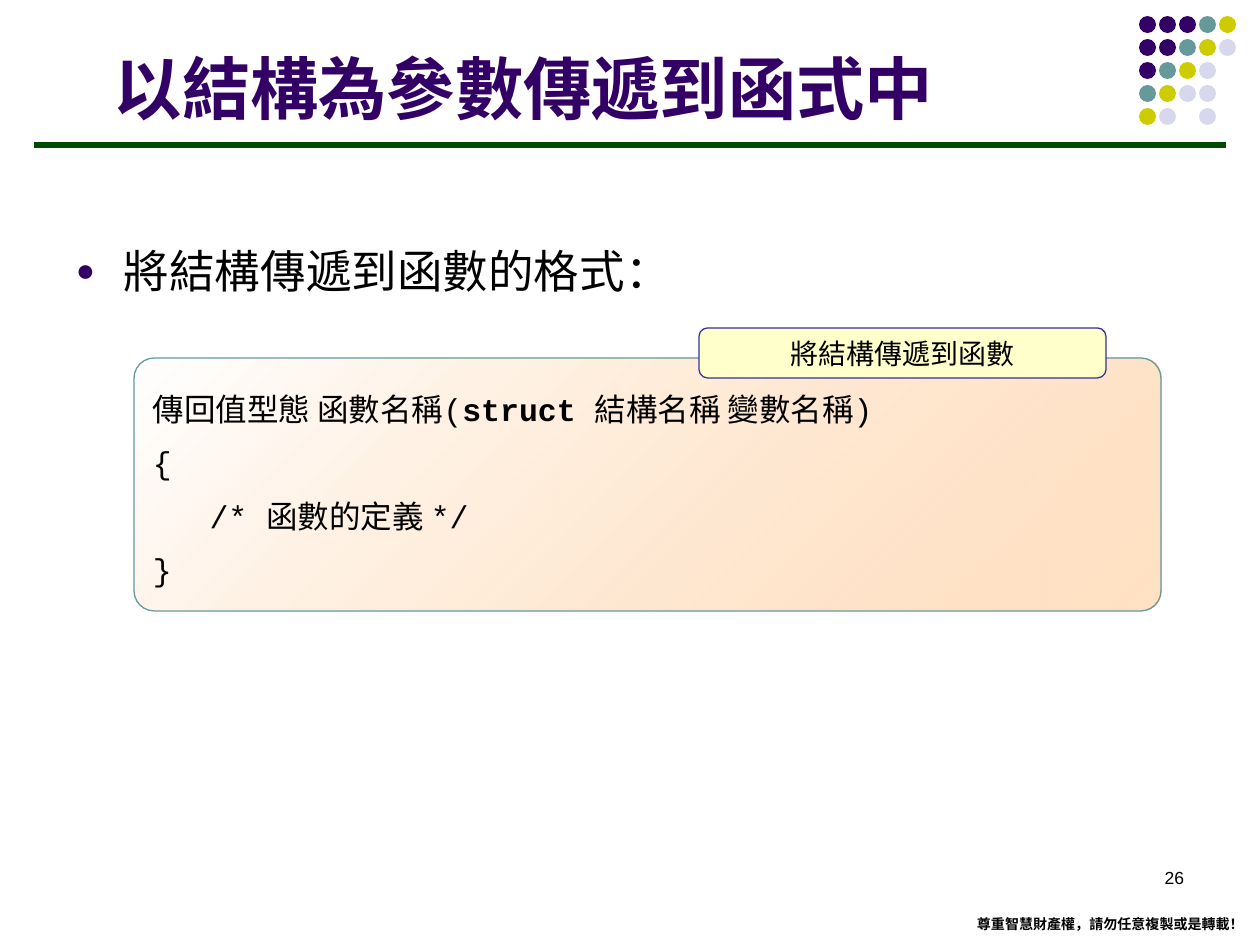
from dataclasses import dataclass

from lxml.etree import SubElement
from pptx import Presentation
from pptx.dml.color import RGBColor
from pptx.enum.shapes import MSO_CONNECTOR, MSO_SHAPE
from pptx.enum.text import MSO_ANCHOR, PP_ALIGN
from pptx.oxml.ns import qn
from pptx.util import Emu, Pt

PX_PER_INCH = 126


@dataclass(frozen=True)
class Theme:
    purple: str = "330066"
    teal: str = "669999"
    olive: str = "CCCC00"
    lavender: str = "D8D8EC"
    green: str = "004C00"
    black: str = "000000"
    white: str = "FFFFFF"
    peach: str = "FFCC99"
    cream: str = "FFFFCC"
    navy: str = "333399"
    sans: str = "Arial"
    mono: str = "Courier New"
    cjk: str = "Noto Sans CJK SC"
    label_cjk: str = "Noto Sans CJK JP"
    title_size: float = 39
    body_size: float = 26
    code_size: float = 18
    label_size: float = 16
    number_size: float = 10
    notice_size: float = 8


THEME = Theme()
DOT_ROWS = ("PPPTO", "PPTOL", "PTOL", "TOLL", "OL L")
DOT_COLORS = {"P": THEME.purple, "T": THEME.teal, "O": THEME.olive, "L": THEME.lavender}
CODE_LINES = (
    (("傳回值型態 函數名稱(", False), ("struct ", True), ("結構名稱 變數名稱)", False)),
    (("{", False),),
    (("   /* 函數的定義 */", False),),
    (("}", False),),
)


def px(length):
    return Emu(round(length * 914400 / PX_PER_INCH))


def color(value):
    return RGBColor.from_string(value)


def set_all(target, **values):
    for name, value in values.items():
        setattr(target, name, value)


def add_span(para, text, size, latin=THEME.cjk, east_asian=THEME.cjk,
             ink=THEME.black, bold=False):
    span = para.add_run()
    span.text = text
    set_all(span.font, name=latin, size=Pt(size), bold=bold)
    span.font.color.rgb = color(ink)
    SubElement(span.font._element, qn("a:ea"), typeface=east_asian)


def set_frame(shape, inset_top=6, **values):
    frame = shape.text_frame
    set_all(frame, margin_left=px(13), margin_right=px(13),
            margin_top=px(inset_top), margin_bottom=px(6), **values)
    return frame


def add_text(page, bounds, align=PP_ALIGN.LEFT, wrap=True, anchor=MSO_ANCHOR.TOP):
    """Add an empty text box and return its first paragraph."""
    box = page.shapes.add_textbox(*map(px, bounds))
    frame = set_frame(box, word_wrap=wrap, vertical_anchor=anchor)
    frame.paragraphs[0].alignment = align
    return frame.paragraphs[0]


def add_shape(page, kind, bounds, fill=None, line=None, corner=None):
    shape = page.shapes.add_shape(kind, *map(px, bounds))
    shape.shadow.inherit = False
    if fill:
        shape.fill.solid()
        shape.fill.fore_color.rgb = color(fill)
    if line:
        shape.line.color.rgb = color(line)
        shape.line.width = Pt(0.75)
    else:
        shape.line.fill.background()
    if corner:
        shape.adjustments[0] = corner
    return shape


def add_dots(page):
    for row, letters in enumerate(DOT_ROWS):
        for column, letter in enumerate(letters):
            if letter in DOT_COLORS:
                bounds = (1139 + 20 * column, 16 + 23 * row, 17, 17)
                add_shape(page, MSO_SHAPE.OVAL, bounds, DOT_COLORS[letter])


def add_rule(page):
    rule = page.shapes.add_connector(MSO_CONNECTOR.STRAIGHT, px(34), px(145), px(1226), px(145))
    rule.line.color.rgb = color(THEME.green)
    rule.line.width = Pt(3)
    SubElement(rule._element.spPr, qn("a:effectLst"))


def add_bullet(para):
    properties = para._p.get_or_add_pPr()
    properties.set("marL", str(px(48)))
    properties.set("indent", str(px(-48)))
    SubElement(SubElement(properties, qn("a:buClr")), qn("a:srgbClr"), val=THEME.purple)
    SubElement(properties, qn("a:buSzPct"), val="70000")
    SubElement(properties, qn("a:buFont"), typeface=THEME.sans)
    SubElement(properties, qn("a:buChar"), char="●")


def set_fading_fill(shape):
    """Fade from white at top left to translucent peach at bottom right."""
    shape.fill.gradient()
    shape.fill.gradient_angle = 315
    stops = shape.fill.gradient_stops
    for stop, position, value in zip(stops, (0, 1), (THEME.white, THEME.peach)):
        stop.position = position
        stop.color.rgb = color(value)
    peach = stops[1]._gs.find(qn("a:srgbClr"))
    SubElement(peach, qn("a:alpha"), val="59000")


def add_code_panel(page):
    panel = add_shape(page, MSO_SHAPE.ROUNDED_RECTANGLE, (134, 358, 1027, 253),
                      line=THEME.teal, corner=0.08)
    set_fading_fill(panel)
    frame = set_frame(panel, inset_top=15, word_wrap=True, vertical_anchor=MSO_ANCHOR.MIDDLE)
    for index, spans in enumerate(CODE_LINES):
        para = frame.add_paragraph() if index else frame.paragraphs[0]
        set_all(para, alignment=PP_ALIGN.LEFT, space_after=Pt(9))
        for text, bold in spans:
            add_span(para, text, THEME.code_size, THEME.mono, bold=bold)


def add_label(page):
    label = add_shape(page, MSO_SHAPE.ROUNDED_RECTANGLE, (699, 328, 407, 50),
                      THEME.cream, THEME.navy, 0.17)
    frame = set_frame(label, word_wrap=False, vertical_anchor=MSO_ANCHOR.MIDDLE)
    para = frame.paragraphs[0]
    para.alignment = PP_ALIGN.CENTER
    add_span(para, "將結構傳遞到函數", THEME.label_size, THEME.label_cjk, THEME.label_cjk)


def main():
    deck = Presentation()
    set_all(deck, slide_width=px(1260), slide_height=px(945))
    page = deck.slides.add_slide(deck.slide_layouts[6])

    add_dots(page)
    add_rule(page)

    notice = add_text(page, (964, 910, 292, 30), wrap=False)
    add_span(notice, "尊重智慧財產權，請勿任意複製或是轉載！", THEME.notice_size, THEME.sans, bold=True)

    title = add_text(page, (101, 24, 1040, 110), anchor=MSO_ANCHOR.BOTTOM)
    add_span(title, "以結構為參數傳遞到函式中", THEME.title_size, ink=THEME.purple, bold=True)

    body = add_text(page, (63, 237, 1134, 72))
    add_bullet(body)
    add_span(body, "將結構傳遞到函數的格式", THEME.body_size)
    add_span(body, "：", THEME.body_size, THEME.sans)

    add_code_panel(page)
    add_label(page)

    number = add_text(page, (903, 861, 294, 63), PP_ALIGN.RIGHT)
    add_span(number, "26", THEME.number_size, THEME.sans)

    deck.save("out.pptx")


if __name__ == "__main__":
    main()
